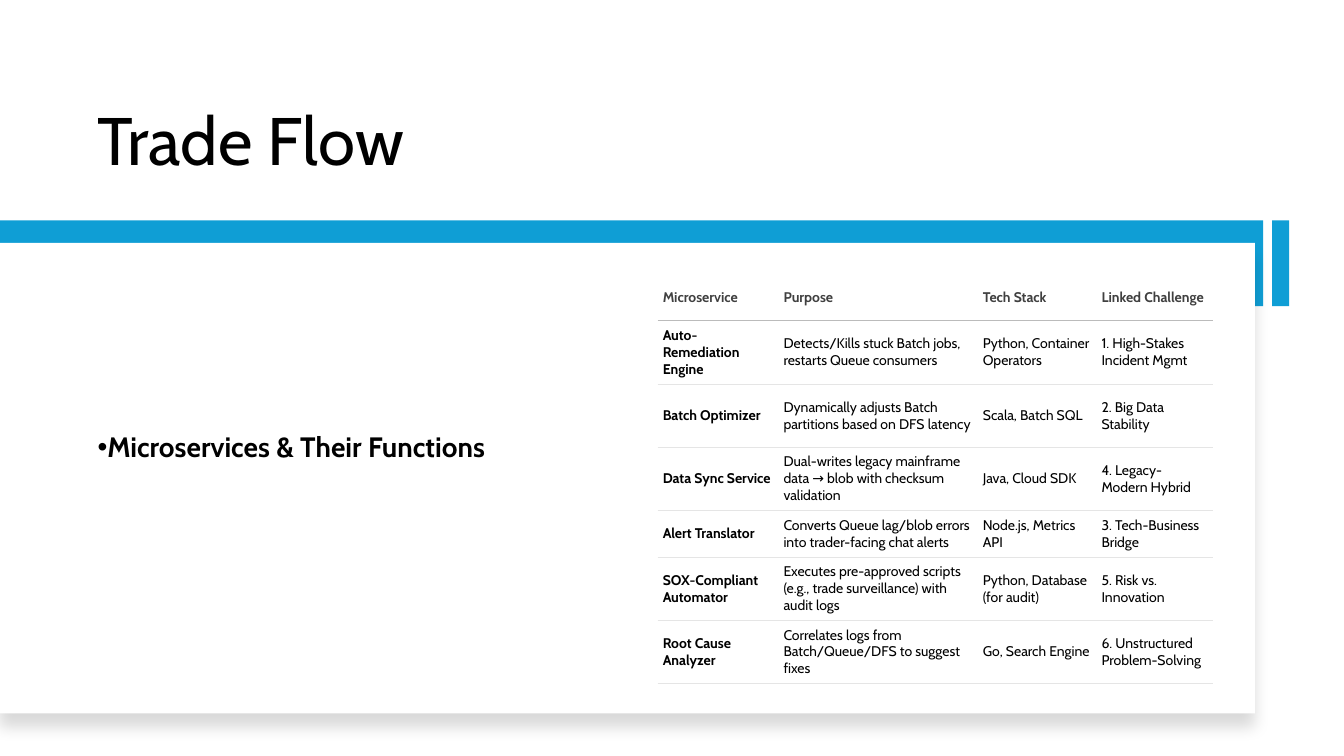
from lxml import etree
from pptx import Presentation
from pptx.dml.color import RGBColor
from pptx.enum.shapes import MSO_SHAPE
from pptx.enum.text import MSO_ANCHOR, MSO_AUTO_SIZE, PP_ALIGN
from pptx.oxml.ns import qn
from pptx.util import Pt

RECTANGLE = MSO_SHAPE.RECTANGLE
MIDDLE, BOTTOM = MSO_ANCHOR.MIDDLE, MSO_ANCHOR.BOTTOM
LEFT = PP_ALIGN.LEFT
NO_AUTOFIT = MSO_AUTO_SIZE.NONE

BLUE = RGBColor(0x0F, 0x9E, 0xD5)
WHITE = RGBColor(0xFF, 0xFF, 0xFF)
BLACK = RGBColor(0x00, 0x00, 0x00)
HEADER_GRAY = RGBColor(0x40, 0x40, 0x40)
HEADER_RULE = RGBColor(0xBB, 0xBB, 0xBB)
ROW_RULE = RGBColor(0xE5, 0xE5, 0xE5)

FONT = "Cabin"
RULE_WIDTH = 0.68
COLUMN_WIDTHS = (85.6, 142.4, 84.8, 84.2)
SHORT_ROW, TALL_ROW = 33.6, 45.1
ROW_HEIGHTS = (SHORT_ROW, TALL_ROW, TALL_ROW, TALL_ROW, SHORT_ROW, TALL_ROW, TALL_ROW)
MICROSERVICES = (
    ("Microservice", "Purpose", "Tech Stack", "Linked Challenge"),
    ("Auto-Remediation Engine", "Detects/Kills stuck Batch jobs, restarts Queue consumers",
     "Python, Container Operators", "1. High-Stakes Incident Mgmt"),
    ("Batch Optimizer", "Dynamically adjusts Batch partitions based on DFS latency",
     "Scala, Batch SQL", "2. Big Data Stability"),
    ("Data Sync Service", "Dual-writes legacy mainframe data → blob with checksum validation",
     "Java, Cloud SDK", "4. Legacy-Modern Hybrid"),
    ("Alert Translator", "Converts Queue lag/blob errors into trader-facing chat alerts",
     "Node.js, Metrics API", "3. Tech-Business Bridge"),
    ("SOX-Compliant Automator",
     "Executes pre-approved scripts (e.g., trade surveillance) with audit logs",
     "Python, Database (for audit)", "5. Risk vs. Innovation"),
    ("Root Cause Analyzer", "Correlates logs from Batch/Queue/DFS to suggest fixes",
     "Go, Search Engine", "6. Unstructured Problem-Solving"),
)


def set_all(target, values):
    for name, value in values.items():
        setattr(target, name, value)


def write(holder, text, size, color, bold=False):
    paragraph = holder.text_frame.paragraphs[0]
    run = paragraph.add_run()
    run.text = text
    set_all(run.font, {"name": FONT, "size": Pt(size), "bold": bold})
    run.font.color.rgb = color
    return paragraph


def add_block(slide, box, color):
    block = slide.shapes.add_shape(RECTANGLE, *map(Pt, box))
    block.shadow.inherit = False
    block.fill.solid()
    block.fill.fore_color.rgb = color
    block.line.fill.background()
    return block


def add_panel_shadow(panel):
    effects = panel._element.spPr.find(qn("a:effectLst"))
    shadow = etree.SubElement(effects, qn("a:outerShdw"), blurRad=str(Pt(11)),
                              dist=str(Pt(10)), dir="5400000", algn="t", rotWithShape="0")
    black = etree.SubElement(shadow, qn("a:srgbClr"), val=str(BLACK))
    etree.SubElement(black, qn("a:alpha"), val="15000")


def place_title(slide, box):
    title = slide.shapes.title
    set_all(title, dict(zip(("left", "top", "width", "height"), map(Pt, box))))
    set_all(title.text_frame, {"vertical_anchor": BOTTOM, "word_wrap": True,
                               "auto_size": NO_AUTOFIT})
    paragraph = write(title, "Trade Flow", 48, BLACK)
    set_all(paragraph, {"alignment": LEFT, "line_spacing": 0.9})


def draw_backdrop(slide, box):
    left, top, width, height = box
    band_height, tab_width, gap = 61.2, 12.2, 6.5
    # Blue band and the white panel lying over it
    add_block(slide, (left, top, width, band_height), BLUE)
    panel = add_block(slide, (left, top + 16, width - 5.8, height - 16), WHITE)
    add_panel_shadow(panel)
    # Upright tab: a flat bar turned about its centre
    center_x = left + width + gap + tab_width / 2
    center_y = top + band_height / 2
    tab = add_block(slide, (center_x - band_height / 2, center_y - tab_width / 2,
                            band_height, tab_width), BLUE)
    tab.rotation = 90


def place_subject(slide, box):
    subject = slide.shapes.add_textbox(*map(Pt, box))
    # The deep bottom margin lifts the line above the middle
    set_all(subject.text_frame, {"word_wrap": True, "vertical_anchor": MIDDLE,
                                 "auto_size": NO_AUTOFIT, "margin_bottom": Pt(59)})
    paragraph = write(subject, "Microservices & Their Functions", 20, BLACK, True)
    set_all(paragraph, {"line_spacing": 0.9, "space_after": Pt(6)})
    properties = paragraph._p.get_or_add_pPr()
    properties.set("marL", "0")
    properties.set("indent", str(-Pt(18)))
    etree.SubElement(properties, qn("a:buFont"), typeface="Arial")
    etree.SubElement(properties, qn("a:buChar"), char="•")


def rule_cell(cell, top_color, bottom_color):
    borders = (("a:lnL", None), ("a:lnR", None), ("a:lnT", top_color), ("a:lnB", bottom_color))
    properties = cell._tc.get_or_add_tcPr()
    for position, (tag, color) in enumerate(borders):
        line = etree.Element(qn(tag), w=str(Pt(RULE_WIDTH)))
        if color is None:
            etree.SubElement(line, qn("a:noFill"))
        else:
            fill = etree.SubElement(line, qn("a:solidFill"))
            etree.SubElement(fill, qn("a:srgbClr"), val=str(color))
        properties.insert(position, line)


def place_microservices(slide, left, top):
    frame = slide.shapes.add_table(len(ROW_HEIGHTS), len(COLUMN_WIDTHS), Pt(left), Pt(top),
                                   Pt(sum(COLUMN_WIDTHS)), Pt(sum(ROW_HEIGHTS)))
    services = frame.table
    set_all(services, {"first_row": False, "horz_banding": False})
    for column, width in zip(services.columns, COLUMN_WIDTHS):
        column.width = Pt(width)
    for row, height in zip(services.rows, ROW_HEIGHTS):
        row.height = Pt(height)

    for r, entries in enumerate(MICROSERVICES):
        header = r == 0
        top_rule = (None, HEADER_RULE)[r] if r < 2 else ROW_RULE
        bottom_rule = HEADER_RULE if header else ROW_RULE
        for c, entry in enumerate(entries):
            cell = services.cell(r, c)
            set_all(cell, {"vertical_anchor": MIDDLE,
                           "margin_left": Pt(3.6 if c == 0 else 4.3),
                           "margin_right": Pt(4), "margin_top": Pt(4.2),
                           "margin_bottom": Pt(4.2)})
            cell.fill.background()
            write(cell, entry, 10, HEADER_GRAY if header else BLACK, header or c == 0)
            rule_cell(cell, top_rule, bottom_rule)


def build_trade_flow(deck):
    slide = deck.slides.add_slide(deck.slide_layouts[5])
    place_title(slide, (62.6, 30.2, 792.7, 102.2))
    draw_backdrop(slide, (0, 157.5, 902.2, 352))
    place_subject(slide, (62.6, 204.5, 357.1, 286.6))
    place_microservices(slide, 469.8, 195.6)


def main():
    deck = Presentation()
    set_all(deck, {"slide_width": Pt(960), "slide_height": Pt(540)})
    build_trade_flow(deck)
    deck.save("out.pptx")


if __name__ == "__main__":
    main()
